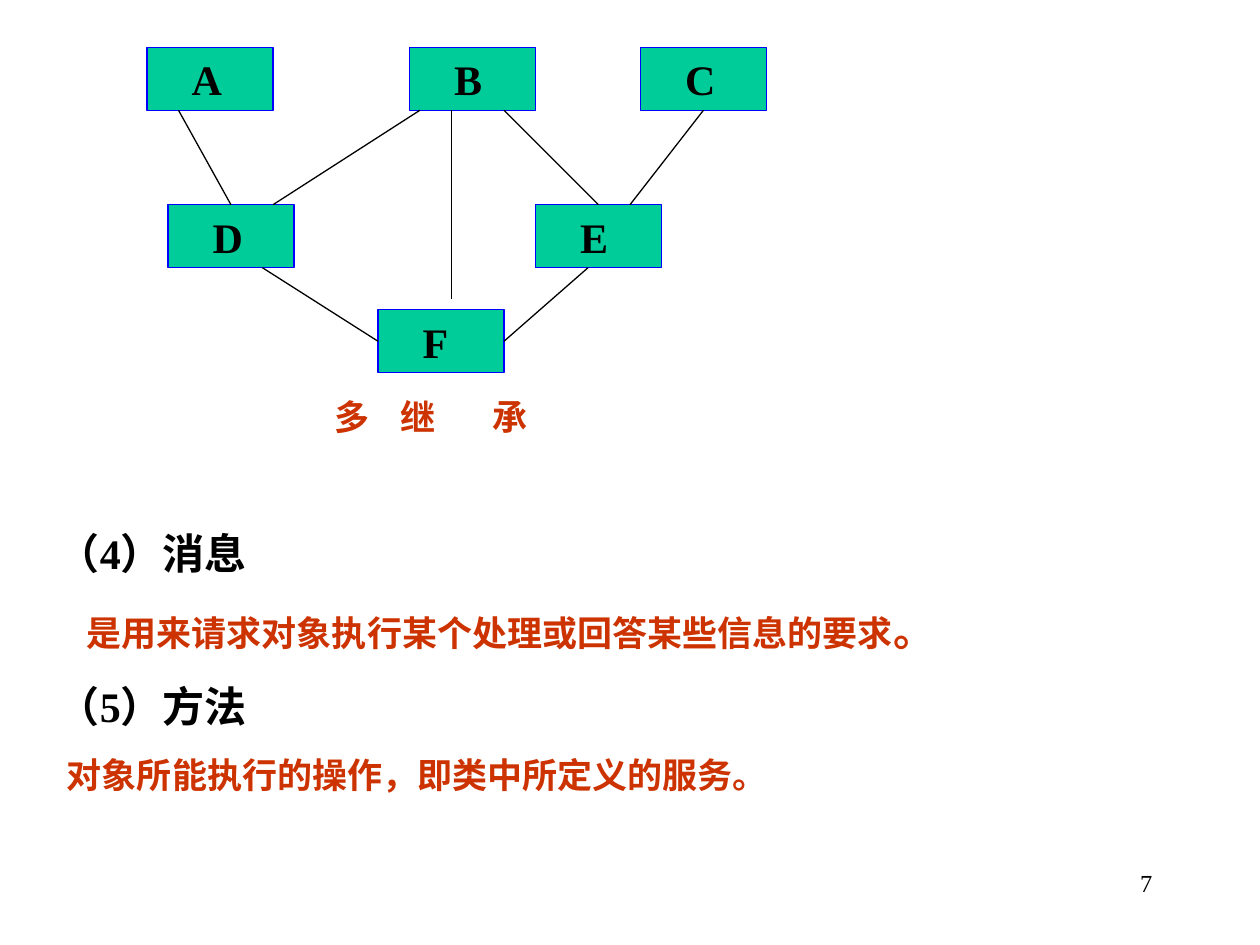
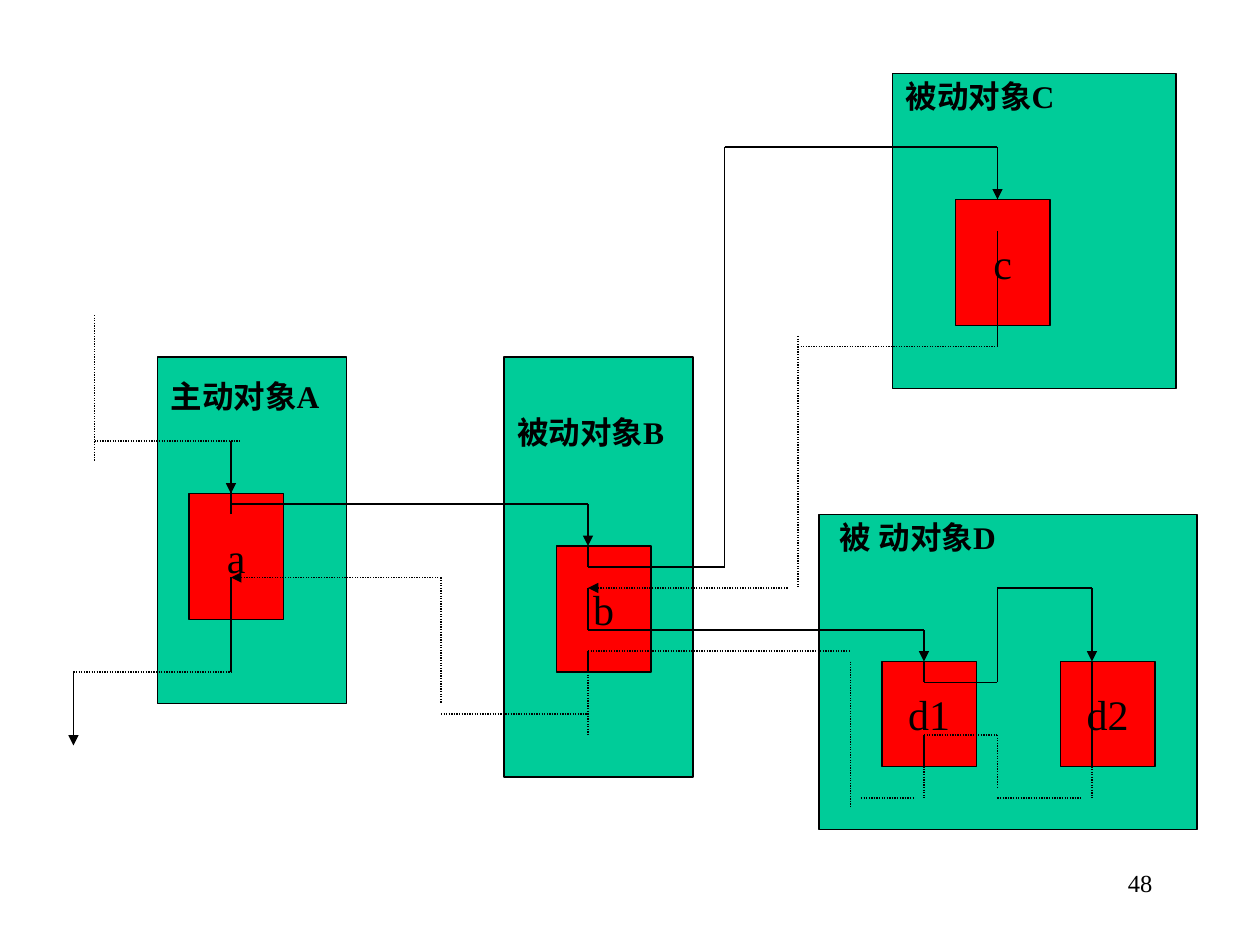
"""Build two slides on object orientation: multiple inheritance and message flow."""
from itertools import pairwise

from pptx import Presentation
from pptx import util as u
from pptx.dml.color import RGBColor
from pptx.enum import dml, shapes, text
from pptx.oxml.ns import qn

PX = 9525
BLACK = RGBColor(0x00, 0x00, 0x00)
GREEN = RGBColor(0x00, 0xCC, 0x99)
RED = RGBColor(0xFF, 0x00, 0x00)
BLUE = RGBColor(0x00, 0x00, 0xFF)
RUST = RGBColor(0xCC, 0x33, 0x00)
FONT = "Times New Roman"
HEADING = {"size": 24, "bold": True, "color": BLACK}
BODY = {"size": 20, "bold": True, "color": RUST}
NAME = {"size": 18, "bold": True, "color": BLACK}
LETTER = {"size": 24, "bold": False, "color": BLACK}
NUMBER = {"size": 14, "bold": False, "color": BLACK}


def add_text(s, at, paras, fill=None, line=BLACK, inset=(10, 5), anchor="TOP", align="LEFT"):
    box = [v * PX for v in at]
    if fill is None:
        sp = s.shapes.add_textbox(*box)
    else:
        sp = s.shapes.add_shape(shapes.MSO_SHAPE.RECTANGLE, *box)
        sp.shadow.inherit = False
        sp.fill.solid()
        sp.fill.fore_color.rgb = fill
        sp.line.color.rgb = line
        sp.line.width = u.Pt(0.75)
    tf = sp.text_frame
    frame = {"word_wrap": True, "vertical_anchor": text.MSO_ANCHOR[anchor],
             "margin_left": inset[0] * PX, "margin_top": inset[1] * PX,
             "margin_right": (10 if align == "RIGHT" else 0) * PX, "margin_bottom": 5 * PX}
    if align == "CENTER":
        frame["margin_left"] = 0
    for key, value in frame.items():
        setattr(tf, key, value)
    for i, (runs, indent, before) in enumerate(paras):
        p = tf.paragraphs[0] if i == 0 else tf.add_paragraph()
        p.alignment = text.PP_ALIGN[align]
        p.space_before = u.Pt(before)
        if indent:
            p._p.get_or_add_pPr().set("marL", str(indent * PX))
        for words, style in runs:
            r = p.add_run()
            r.text = words
            for key, value in {"name": FONT, "size": u.Pt(style["size"]), "bold": style["bold"]}.items():
                setattr(r.font, key, value)
            r.font.color.rgb = style["color"]
    return sp


def add_path(s, points, arrow=False, dotted=False):
    for start, end in pairwise(points):
        c = s.shapes.add_connector(shapes.MSO_CONNECTOR.STRAIGHT, *[v * PX for v in start + end])
        c.line.color.rgb = BLACK
        c.line.width = u.Pt(0.75)
        if dotted:
            c.line.dash_style = dml.MSO_LINE.ROUND_DOT
        if arrow and end == points[-1]:
            ln = c.line._get_or_add_ln()
            ln.append(ln.makeelement(qn("a:tailEnd"), {"type": "triangle"}))
        c._element.spPr.append(c._element.makeelement(qn("a:effectLst"), {}))


prs = Presentation()
prs.slide_width, prs.slide_height = 960 * PX, 720 * PX
inheritance, messages = [prs.slides.add_slide(prs.slide_layouts[6]) for _ in range(2)]
for s, number in ((inheritance, "7"), (messages, "48")):
    add_text(s, (688, 656, 200, 48), [([(number, NUMBER)], 0, 0)], align="RIGHT")

s = inheritance
add_text(s, (34, 397, 876, 269), [
    ([("（4）消息", HEADING)], 0, 0),
    ([("是用来请求对象执行某个处理或回答某些信息的要求", BODY), ("。", {**BODY, "size": 24})], 22, 15),
    ([("（5）方法", HEADING)], 0, 15),
    ([("对象所能执行的操作，即类中所定义的服务。", BODY)], 7, 12.5),
])
for label, x, y in (("A", 112, 36), ("B", 312, 36), ("C", 488, 36),
                    ("D", 128, 156), ("E", 408, 156), ("F", 288, 236)):
    add_text(s, (x, y, 96, 48), [([(label, HEADING)], 0, 0)], GREEN, BLUE, inset=(34, 5))
for points in (
    [(320, 84), (208, 156)],
    [(344, 84), (344, 228)],
    [(384, 84), (456, 156)],
    [(200, 204), (288, 260)],
    [(448, 204), (384, 260)],
    [(136, 84), (176, 156)],
    [(536, 84), (480, 156)],
):
    add_path(s, points)
sp = add_text(s, (88, 296, 528, 48), [([("多\t继\t承", BODY)], 0, 0)], inset=(167, 5))
pPr = sp.text_frame.paragraphs[0]._p.get_or_add_pPr()
tabs = pPr.makeelement(qn("a:tabLst"), {})
for pos in (50, 120):
    tabs.append(tabs.makeelement(qn("a:tab"), {"pos": str(pos * PX), "algn": "l"}))
pPr.append(tabs)

s = messages
for name, at, inset in (
    ("主动对象A", (120, 272, 144, 264), (10, 15)),
    ("被动对象B", (384, 272, 144, 320), (10, 43)),
    ("被动对象C", (680, 56, 216, 240), (10, 3)),
    ("被 动对象D", (624, 392, 288, 240), (16, 3)),
):
    add_text(s, at, [([(name, NAME)], 0, 0)], GREEN, inset=inset)
for name, x, y, h in (("a", 144, 376, 96), ("b", 424, 416, 96), ("c", 728, 152, 96),
                      ("d1", 672, 504, 80), ("d2", 808, 504, 80)):
    add_text(s, (x, y, 72, h), [([(name, LETTER)], 0, 0)], RED, anchor="MIDDLE", align="CENTER")

calls = (
    [(176, 336), (176, 376)],
    [(176, 384), (448, 384), (448, 416)],
    [(56, 512), (56, 568)],
    [(448, 416), (448, 432), (552, 432), (552, 112), (760, 112), (760, 152)],
    [(448, 448), (448, 480), (704, 480), (704, 504)],
    [(704, 504), (704, 520), (760, 520), (760, 448), (832, 448), (832, 504)],
)
activations = (
    [(176, 368), (176, 392)],
    [(176, 440), (176, 512)],
    [(760, 176), (760, 264)],
    [(832, 504), (832, 584)],
    [(448, 496), (448, 512)],
    [(704, 560), (704, 584)],
)
returns = (
    [(600, 448), (448, 448)],
    [(336, 440), (176, 440)],
)
waits = (
    [(72, 240), (72, 352)],
    [(72, 336), (184, 336)],
    [(56, 512), (176, 512)],
    [(608, 264), (760, 264)],
    [(608, 256), (608, 448)],
    [(448, 512), (448, 560)],
    [(336, 544), (448, 544)],
    [(336, 440), (336, 536)],
    [(832, 584), (832, 608)],
    [(760, 608), (824, 608)],
    [(704, 560), (760, 560), (760, 600)],
    [(704, 576), (704, 608)],
    [(656, 608), (696, 608)],
    [(648, 504), (648, 616)],
    [(448, 496), (648, 496)],
)
for paths, arrow, dotted in ((calls, True, False), (activations, False, False),
                             (returns, True, True), (waits, False, True)):
    for points in paths:
        add_path(s, points, arrow, dotted)

prs.save("out.pptx")
